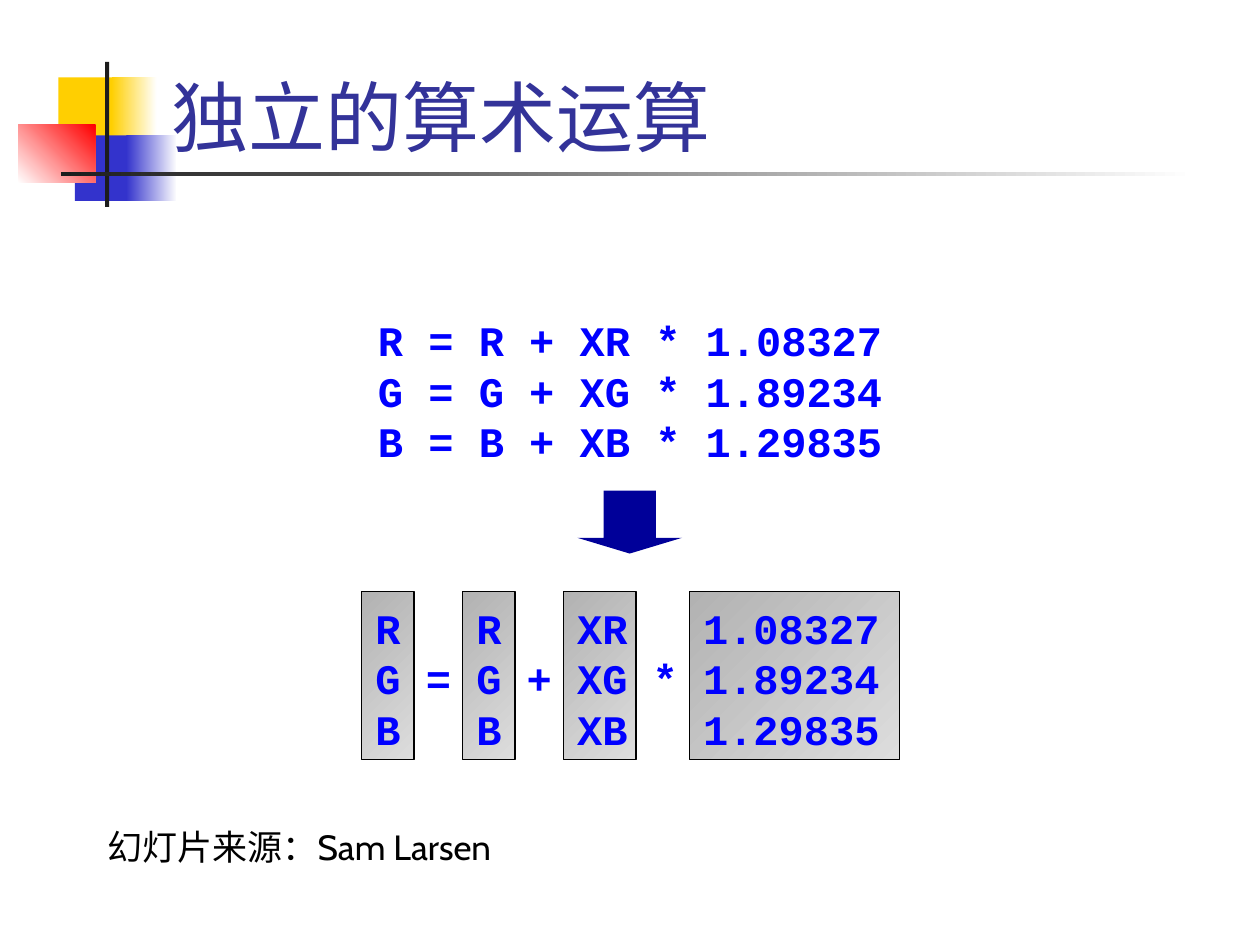
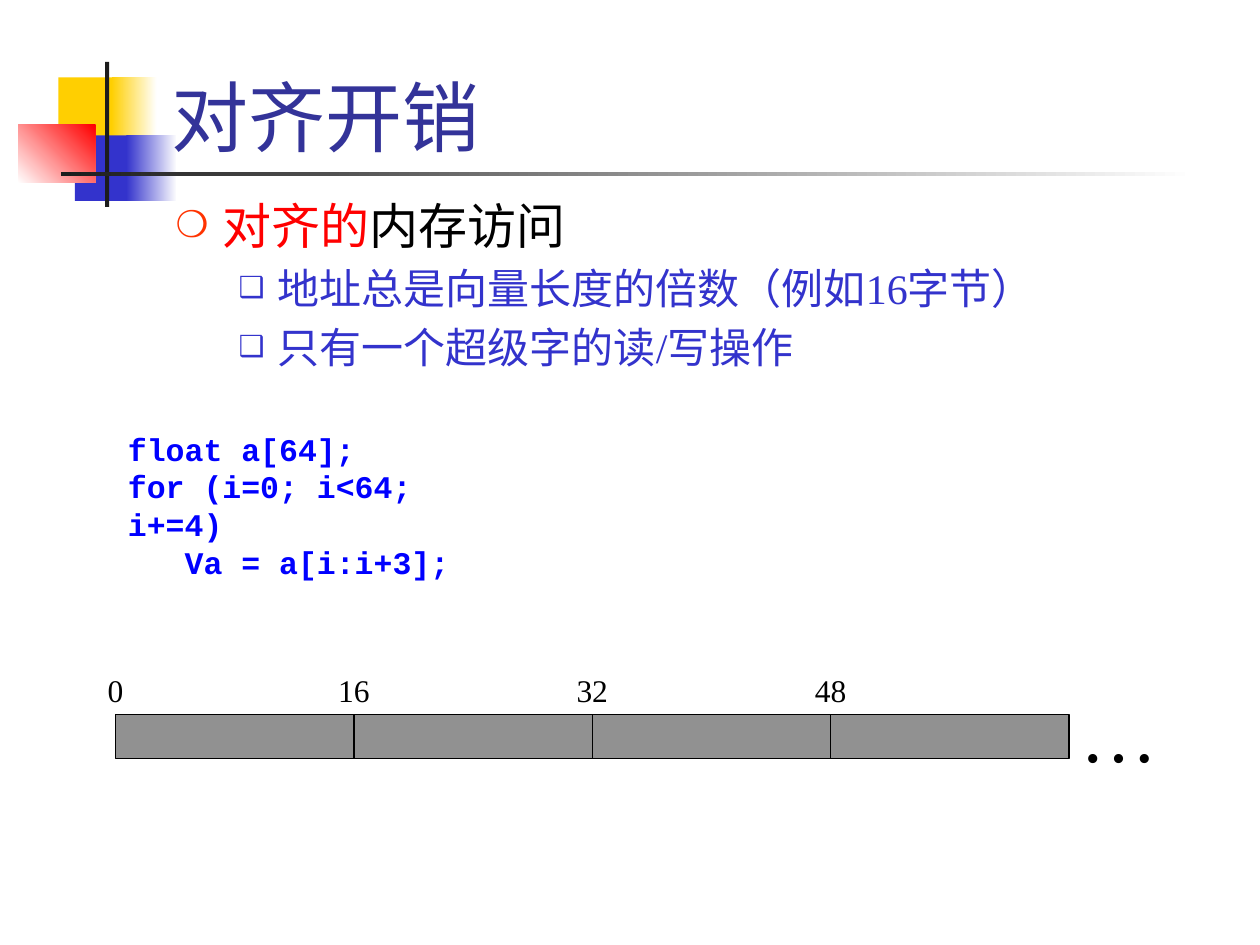
from lxml.etree import SubElement
from pptx import Presentation
from pptx.dml.color import RGBColor
from pptx.enum.shapes import MSO_SHAPE as Preset
from pptx.enum.text import MSO_ANCHOR as Anchor, MSO_AUTO_SIZE as AutoSize, PP_ALIGN as Align
from pptx.oxml.ns import qn
from pptx.util import Cm, Pt

COLORS = {
    "yellow": "FFCF01", "blue": "3333CC", "red": "FF0000", "white": "FFFFFF",
    "rule": "1C1C1C", "title": "333399", "code": "0000FF", "text": "000000",
    "arrow": "000099", "pack_dark": "B2B2B2", "pack_light": "DDDDDD",
    "memory": "919191", "bullet": "FF3300",
}
SERIF, MONO, SANS, HAN = "Times New Roman", "Courier New", "Cabin", "Noto Sans CJK SC"
CODE = dict(font=MONO, color="code", bold=True)
INSET = 0.25

VARIABLES = ["R", "G", "B"]
FACTORS = ["1.08327", "1.89234", "1.29835"]


def rgb(name):
    return RGBColor.from_string(COLORS[name])


def write(frame, paragraphs, size, font=SERIF, color="text", bold=False, han=None,
          align=Align.LEFT, anchor=Anchor.TOP, insets=(INSET, INSET), top_inset=0.13):
    frame.word_wrap = True
    frame.auto_size = AutoSize.NONE
    frame.vertical_anchor = anchor
    frame.margin_left, frame.margin_right = map(Cm, insets)
    frame.margin_top = Cm(top_inset)
    for index, content in enumerate(paragraphs):
        paragraph = frame.paragraphs[0] if index == 0 else frame.add_paragraph()
        paragraph.alignment = align
        runs = [(content, color)] if isinstance(content, str) else content
        for words, run_color in runs:
            run = paragraph.add_run()
            run.text = words
            run.font.size, run.font.name, run.font.bold = Pt(size), font, bold
            run.font.color.rgb = rgb(run_color)
            if han:
                SubElement(run.font._element, qn("a:ea"), typeface=han)


def add_text(slide, box, paragraphs, size, **style):
    frame = slide.shapes.add_textbox(*map(Cm, box)).text_frame
    write(frame, paragraphs, size, **style)


def add_block(slide, box, fill, fade=None, angle=0, outline=None, preset=Preset.RECTANGLE):
    block = slide.shapes.add_shape(preset, *map(Cm, box))
    block.shadow.inherit = False
    if fade:
        block.fill.gradient()
        block.fill.gradient_angle = angle
        for stop, name in zip(block.fill.gradient_stops, (fill, fade)):
            stop.color.rgb = rgb(name)
    else:
        block.fill.solid()
        block.fill.fore_color.rgb = rgb(fill)
    if outline:
        block.line.color.rgb = rgb(outline)
        block.line.width = Pt(0.75)
    else:
        block.line.fill.background()
    return block


def place(placeholder, box):
    placeholder.left, placeholder.top, placeholder.width, placeholder.height = map(Cm, box)


def add_emblem(slide, box):
    left, top, width, height = box
    parts = [
        (0.81, 0.31, 1.22, 1.32, "yellow", None, 0),
        (1.88, 0.31, 0.91, 1.32, "yellow", "white", 0),
        (1.14, 1.48, 1.17, 1.32, "blue", None, 0),
        (2.18, 1.48, 1.02, 1.32, "blue", "white", 0),
        (0, 1.27, 1.55, 1.17, "white", "red", 45),
        (1.75, 0, 0.08, height, "rule", None, 0),
        (0.86, 2.21, width - 0.86, 0.08, "rule", "white", 0),
    ]
    for x, y, part_width, part_height, fill, fade, angle in parts:
        add_block(slide, (left + x, top + y, part_width, part_height), fill, fade, angle)


def add_titled_slide(prs, layout, title):
    slide = prs.slides.add_slide(prs.slide_layouts[layout])
    placeholders = list(slide.placeholders)
    add_emblem(slide, (0.37, 1.25, 23.72, 2.92))
    for placeholder in placeholders:
        slide.shapes._spTree.append(placeholder._element)
    place(slide.shapes.title, (3.2, 0.22, 21.64, 3.18))
    write(slide.shapes.title.text_frame, [title], 44, color="title", han=HAN,
          anchor=Anchor.BOTTOM)
    return slide


def add_packed_expression(slide, box):
    left, top, width, height = box
    char, pad = 10.16 / 20, 0.28
    style = dict(CODE, anchor=Anchor.MIDDLE, top_inset=0.22)
    operands = [
        (0, VARIABLES, 1.06),
        (4, VARIABLES, 1.06),
        (8, ["X" + name for name in VARIABLES], 1.47),
        (13, FACTORS, width - 13 * char),
    ]
    for column, values, operand_width in operands:
        operand = add_block(slide, (left + column * char, top, operand_width, height),
                            "pack_dark", "pack_light", 315, "text")
        write(operand.text_frame, values, 24, insets=(pad, 0), **style)
    for column, operator in ((2, "="), (6, "+"), (11, "*")):
        add_text(slide, (left + pad + column * char, top, 2 * char, height), [operator], 24,
                 insets=(0, 0), **style)


def add_bullet(paragraph, symbol, color, percent, indent, hanging, space):
    paragraph.space_before = Pt(space)
    properties = paragraph._p.get_or_add_pPr()
    properties.set("marL", str(Cm(indent)))
    properties.set("indent", str(-Cm(hanging)))
    bullet_color = SubElement(properties, qn("a:buClr"))
    SubElement(bullet_color, qn("a:srgbClr"), val=COLORS[color])
    SubElement(properties, qn("a:buSzPct"), val=str(percent * 1000))
    SubElement(properties, qn("a:buChar"), char=symbol)


def fill_access_list(body, box):
    place(body, box)
    heading = [[("对齐的", "red"), ("内存访问", "text")]]
    details = ["地址总是向量长度的倍数（例如16字节）", "只有一个超级字的读/写操作"]
    write(body.text_frame, heading + details, 24, color="blue", han=HAN)
    first, *rest = body.text_frame.paragraphs
    for run in first.runs:
        run.font.size = Pt(28)
    add_bullet(first, "❍", "bullet", 75, 0.95, 0.95, 0)
    for paragraph in rest:
        paragraph.level = 1
        add_bullet(paragraph, "❑", "blue", 69, 2.06, 0.79, 4.8)


def add_memory_strip(slide, box, cells=4, word_bytes=16):
    left, top, width, height = box
    cell_width, label_width = width / cells, 1.4
    for index in range(cells):
        x = left + index * cell_width
        add_block(slide, (x, top, cell_width, height), "memory", outline="text")
        add_text(slide, (x - label_width / 2, top - 1, label_width, 1),
                 [str(index * word_bytes)], 18, align=Align.CENTER)
    add_text(slide, (left + width - 0.09, top - 0.72, 2.2, 2.11), ["…"], 44,
             align=Align.CENTER)


def build_arithmetic_slide(prs):
    slide = add_titled_slide(prs, 5, "独立的算术运算")
    statements = [f"{name} = {name} + X{name} * {factor}"
                  for name, factor in zip(VARIABLES, FACTORS)]
    add_text(slide, (7.37, 6.2, 10.9, 3.33), statements, 24, anchor=Anchor.MIDDLE, **CODE)
    add_packed_expression(slide, (7.29, 11.93, 10.84, 3.38))
    arrow = add_block(slide, (11.64, 9.89, 2.11, 1.27), "arrow", preset=Preset.DOWN_ARROW)
    arrow.adjustments[0], arrow.adjustments[1] = 0.5, 0.25
    add_text(slide, (1.91, 16.51, 9.5, 1.12), ["幻灯片来源：Sam Larsen"], 20, font=SANS, han=HAN)


def build_alignment_slide(prs):
    slide = add_titled_slide(prs, 1, "对齐开销")
    fill_access_list(slide.placeholders[1], (3.29, 3.81, 21.59, 13.13))
    loop = ["float a[64];", "for (i=0; i<64; i+=4)", "   Va = a[i:i+3];"]
    add_text(slide, (2.33, 8.53, 8.45, 2.54), loop, 18, **CODE)
    add_memory_strip(slide, (2.33, 14.4, 19.22, 0.89))


def main():
    prs = Presentation()
    prs.slide_width, prs.slide_height = Cm(25.4), Cm(19.05)
    build_arithmetic_slide(prs)
    build_alignment_slide(prs)
    prs.save("out.pptx")


if __name__ == "__main__":
    main()
